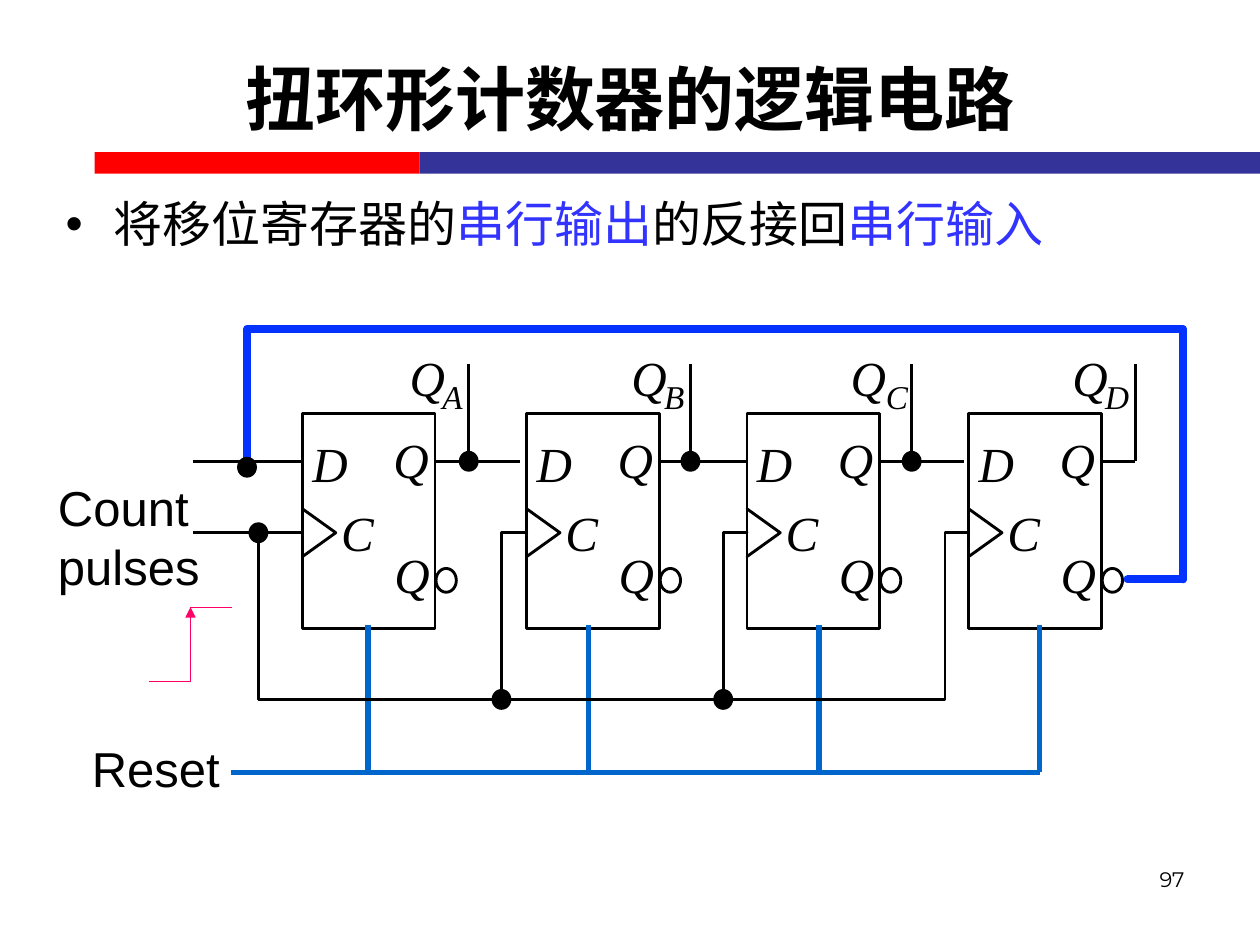
from dataclasses import dataclass

from lxml import etree
from pptx import Presentation
from pptx.dml.color import RGBColor
from pptx.enum.shapes import MSO_CONNECTOR, MSO_SHAPE
from pptx.enum.text import MSO_ANCHOR, PP_ALIGN
from pptx.oxml.ns import qn
from pptx.util import Cm, Pt

STRAIGHT = MSO_CONNECTOR.STRAIGHT
RECTANGLE, OVAL = MSO_SHAPE.RECTANGLE, MSO_SHAPE.OVAL
TOP, MIDDLE = MSO_ANCHOR.TOP, MSO_ANCHOR.MIDDLE
LEFT, CENTER, RIGHT = PP_ALIGN.LEFT, PP_ALIGN.CENTER, PP_ALIGN.RIGHT

BLACK, WHITE, RED, NAVY = "000000", "FFFFFF", "FF0000", "333399"
TERM, FEEDBACK, RESET, PULSE = "3333FF", "0432FF", "0066CC", "FF0066"
SERIF = "Times New Roman"
WIRE = 1.63

DATA_Y, CLOCK_Y, BUS_Y, RESET_Y = 9.3, 10.74, 14.1, 15.57
BOX_TOP, BOX_WIDTH, BOX_HEIGHT = 8.33, 2.67, 4.34
TAP_TOP, RESET_TOP = 7.34, 12.6


@dataclass(frozen=True)
class FlipFlop:
    output: str
    left: float
    wire_end: float
    tap: float
    label: float
    subscript: float
    reset: float


@dataclass(frozen=True)
class Symbol:
    letter: str
    dx: float
    top: float


FLIP_FLOPS = [
    FlipFlop("A", 6.1, 10.49, 9.45, 8.26, 8.92, 7.42),
    FlipFlop("B", 10.62, 15.06, 13.92, 12.73, 13.39, 11.86),
    FlipFlop("C", 15.06, 19.43, 18.38, 17.15, 17.86, 16.51),
    FlipFlop("D", 19.53, 22.89, 22.89, 21.62, 22.28, 20.96),
]
SYMBOLS = [
    Symbol("D", 0.2, 8.74),
    Symbol("Q", 1.83, 8.66),
    Symbol("Q", 1.85, 10.97),
    Symbol("C", 0.78, 10.13),
]

prs = Presentation()
prs.slide_width, prs.slide_height = Cm(25.4), Cm(19.05)
slide = prs.slides.add_slide(prs.slide_layouts[1])


def color(value: str) -> RGBColor:
    return RGBColor.from_string(value)


def write(frame, runs, *, size=28, font="Arial", bold=False, italic=False,
          align=LEFT, anchor=TOP, wrap=True, inset=None) -> None:
    frame.word_wrap = wrap
    frame.vertical_anchor = anchor
    if inset is not None:
        frame.margin_left = frame.margin_right = Cm(inset)
        frame.margin_top = frame.margin_bottom = Cm(inset)
    paragraph = frame.paragraphs[0]
    paragraph.alignment = align
    paragraph.space_before = Pt(0)
    for text, ink in [(runs, BLACK)] if isinstance(runs, str) else runs:
        run = paragraph.add_run()
        run.text = text
        run.font.size, run.font.name = Pt(size), font
        run.font.bold, run.font.italic = bold, italic
        run.font.color.rgb = color(ink)


def place(shape, left: float, top: float, width: float, height: float) -> None:
    shape.left, shape.top = Cm(left), Cm(top)
    shape.width, shape.height = Cm(width), Cm(height)


def label(text: str, left: float, top: float, width: float, height: float, **style) -> None:
    box = slide.shapes.add_textbox(Cm(left), Cm(top), Cm(width), Cm(height))
    write(box.text_frame, text, **style)


def symbol(text: str, left: float, top: float, size: int = 28) -> None:
    label(text, left, top, size / 40, size / 23.5, size=size, font=SERIF,
          italic=True, wrap=False, inset=0)


def stroke(line, ink: str, width: float) -> None:
    line.color.rgb = color(ink)
    line.width = Pt(width)


def shape(kind, left: float, top: float, width: float, height: float,
          fill: str | None = None, outline: str | None = None) -> None:
    item = slide.shapes.add_shape(kind, Cm(left), Cm(top), Cm(width), Cm(height))
    item.shadow.inherit = False
    if fill:
        item.fill.solid()
        item.fill.fore_color.rgb = color(fill)
    else:
        item.fill.background()
    if outline:
        stroke(item.line, outline, WIRE)
    else:
        item.line.fill.background()


def wire(x1: float, y1: float, x2: float, y2: float, ink: str = BLACK,
         width: float = WIRE, arrow: bool = False, rounded: bool = False) -> None:
    link = slide.shapes.add_connector(STRAIGHT, Cm(x1), Cm(y1), Cm(x2), Cm(y2))
    stroke(link.line, ink, width)
    ln = link.line._get_or_add_ln()
    if rounded:
        ln.set("cap", "rnd")
    if arrow:
        etree.SubElement(ln, qn("a:tailEnd"), type="triangle")
    etree.SubElement(link._element.spPr, qn("a:effectLst"))


def route(points: list[tuple[float, float]], ink: str = BLACK, width: float = WIRE) -> None:
    corners = [(Cm(x), Cm(y)) for x, y in points]
    builder = slide.shapes.build_freeform(*corners[0], scale=1.0)
    builder.add_line_segments(corners[1:], close=False)
    path = builder.convert_to_shape()
    path.shadow.inherit = False
    path.fill.background()
    stroke(path.line, ink, width)
    ln = path.line._get_or_add_ln()
    ln.set("cap", "rnd")
    etree.SubElement(ln, qn("a:round"))


def junction(x: float, y: float) -> None:
    shape(OVAL, x - 0.2, y - 0.21, 0.4, 0.42, fill=BLACK)


def draw_flip_flop(unit: FlipFlop) -> None:
    right = unit.left + BOX_WIDTH
    shape(RECTANGLE, unit.left, BOX_TOP, BOX_WIDTH, BOX_HEIGHT, outline=BLACK)
    for mark in SYMBOLS:
        symbol(mark.letter, unit.left + mark.dx, mark.top)
    shape(OVAL, right + 0.02, 11.46, 0.41, 0.48, fill=WHITE, outline=BLACK)
    route([(unit.left, CLOCK_Y + 0.48), (unit.left + 0.67, CLOCK_Y),
           (unit.left, CLOCK_Y - 0.48)])
    wire(right, DATA_Y, unit.wire_end, DATA_Y)
    wire(unit.tap, DATA_Y, unit.tap, TAP_TOP)
    symbol("Q", unit.label, 7.01)
    symbol(unit.output, unit.subscript, 7.59, size=19)
    wire(unit.reset, RESET_TOP, unit.reset, RESET_Y, RESET, 3)


shape(RECTANGLE, 1.91, 3.07, 6.55, 0.43, fill=RED)
shape(RECTANGLE, 8.46, 3.07, 16.94, 0.43, fill=NAVY)

title, body = slide.placeholders
place(title, 1.27, 0.38, 22.86, 3.18)
write(title.text_frame, "扭环形计数器的逻辑电路", size=40, bold=True, align=CENTER, anchor=MIDDLE)

place(body, 1.07, 3.78, 23.34, 2.21)
bullet_format = body.text_frame.paragraphs[0]._p.get_or_add_pPr()
bullet_format.set("marL", str(Cm(0.97)))
bullet_format.set("indent", str(Cm(-0.97)))
etree.SubElement(bullet_format, qn("a:buChar"), char="•")
write(body.text_frame, [("将移位寄存器的", BLACK), ("串行输出", TERM),
                        ("的反接回", BLACK), ("串行输入", TERM)])

for flip_flop in FLIP_FLOPS:
    draw_flip_flop(flip_flop)

first, last = FLIP_FLOPS[0], FLIP_FLOPS[-1]
for input_y in (DATA_Y, CLOCK_Y):
    wire(3.89, input_y, first.left, input_y)
route([(5.21, CLOCK_Y), (5.21, BUS_Y), (19.05, BUS_Y), (19.05, CLOCK_Y), (last.left, CLOCK_Y)])
for branch, flip_flop in zip((10.11, 14.58), FLIP_FLOPS[1:3]):
    route([(branch, BUS_Y), (branch, CLOCK_Y), (flip_flop.left, CLOCK_Y)])
    junction(branch, BUS_Y)
route([(23.85, 11.68), (23.85, 6.63), (4.98, 6.63), (4.98, 9.42)], FEEDBACK, 4.5)
wire(22.73, 11.68, 23.85, 11.68, FEEDBACK, 4.5, rounded=True)
junction(4.98, 9.42)
junction(5.21, CLOCK_Y)
for flip_flop in FLIP_FLOPS[:3]:
    junction(flip_flop.tap, DATA_Y)
wire(last.reset, RESET_Y, 4.65, RESET_Y, RESET, 3)

wire(3, 13.74, 3.84, 13.74, PULSE, 0.75)
wire(3.84, 12.24, 4.67, 12.24, PULSE, 0.75)
wire(3.84, 13.74, 3.84, 12.24, PULSE, 0.75, arrow=True)

label("Count pulses", 1.17, 9.63, 3.15, 2.39, inset=0)
label("Reset", 1.02, 14.76, 4.24, 1.45, align=CENTER)
label("97", 18.21, 17.35, 5.92, 1.32, size=12, font="Montserrat", align=RIGHT)

prs.save("out.pptx")
